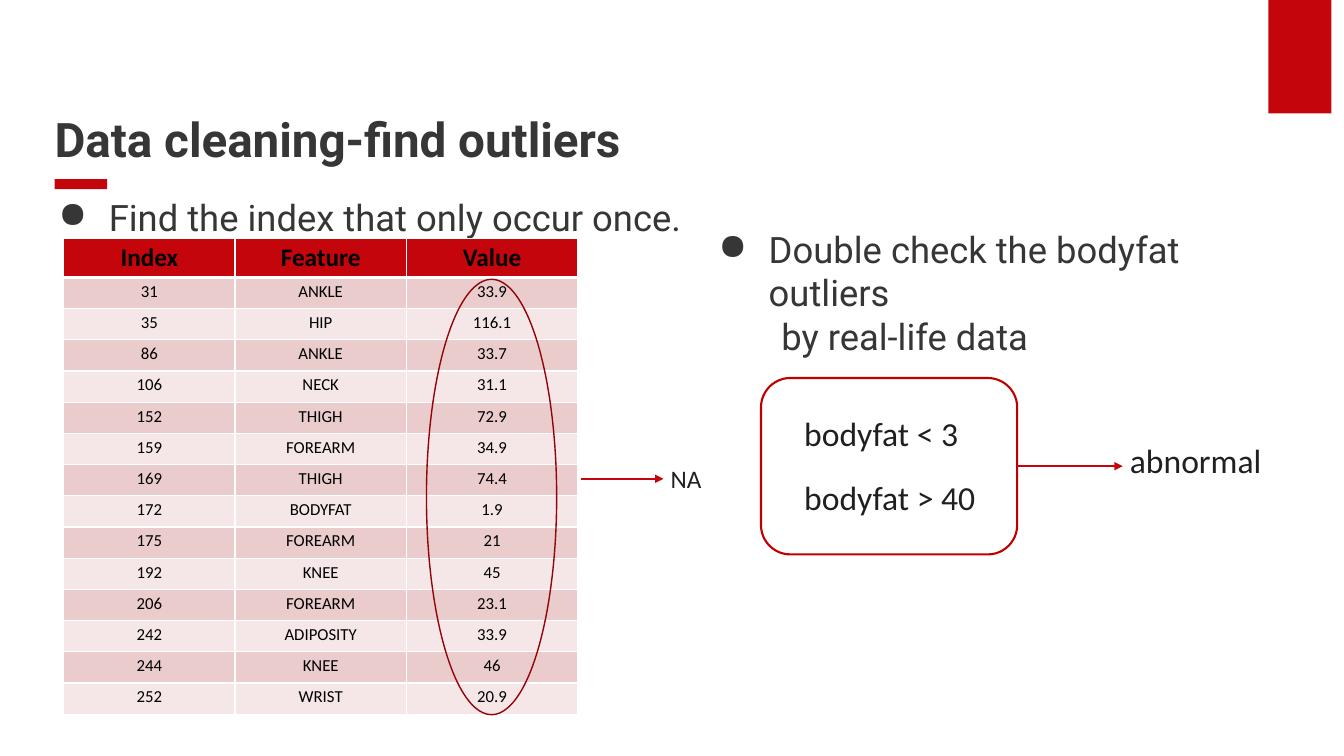
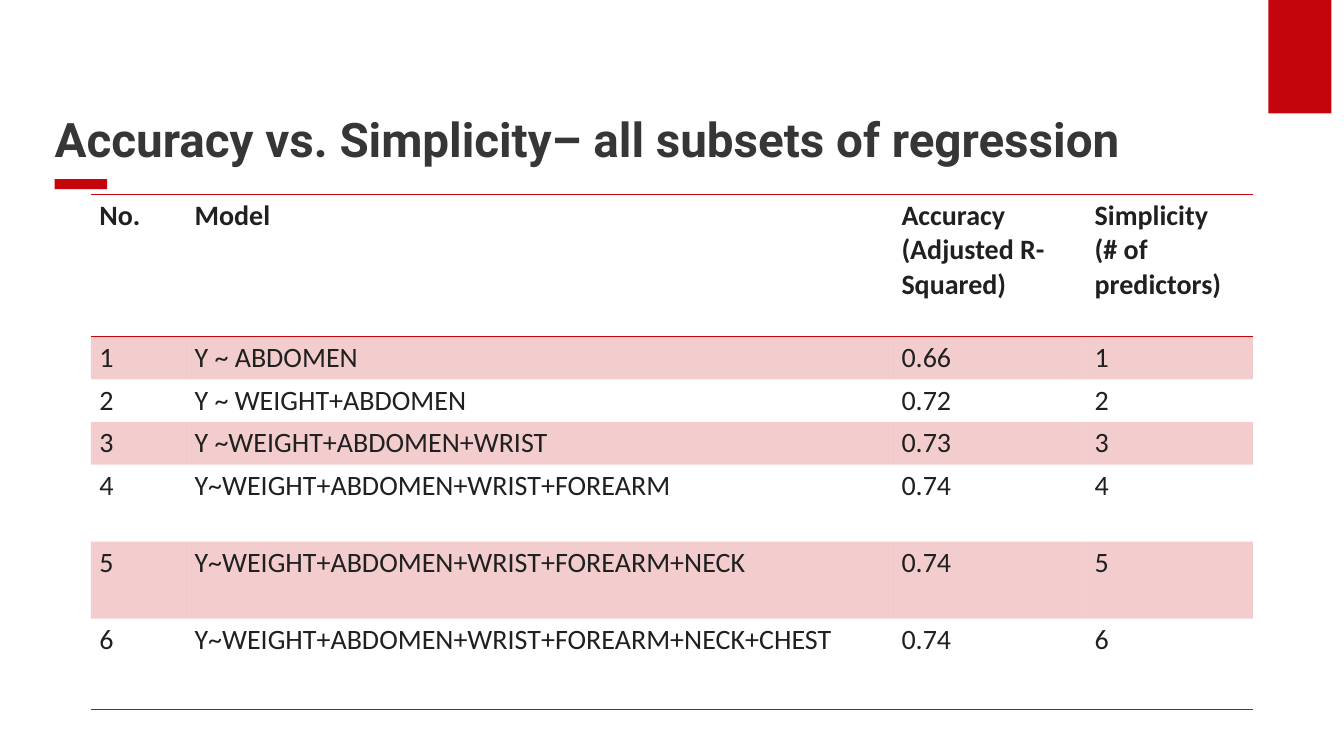
from lxml import etree
from pptx import Presentation
from pptx.dml.color import RGBColor
from pptx.enum.shapes import MSO_CONNECTOR, MSO_SHAPE
from pptx.enum.text import MSO_ANCHOR, PP_ALIGN
from pptx.oxml.ns import qn
from pptx.util import Pt

RECTANGLE = MSO_SHAPE.RECTANGLE
ROUNDED = MSO_SHAPE.ROUNDED_RECTANGLE
OVAL = MSO_SHAPE.OVAL
STRAIGHT = MSO_CONNECTOR.STRAIGHT
TOP, BOTTOM = MSO_ANCHOR.TOP, MSO_ANCHOR.BOTTOM
LEFT, CENTER = PP_ALIGN.LEFT, PP_ALIGN.CENTER
RIGHT_SIDE = 3

RED = "C5050C"
DARK_RED = "920409"
BOX_RED = "C00000"
TITLE_GREY = "363636"
BODY_GREY = "202020"
BLACK = "000000"
WHITE = "FFFFFF"
BAND_COLORS = ("EACCCC", "F5E7E7")
HEADING_FONT, BODY_FONT = "Roboto", "Calibri"
NO_TABLE_STYLE = "{2D5ABB26-0587-4C30-8999-92F81FD0307C}"

OUTLIERS = [
    ("Index", "Feature", "Value"),
    ("31", "ANKLE", "33.9"),
    ("35", "HIP", "116.1"),
    ("86", "ANKLE", "33.7"),
    ("106", "NECK", "31.1"),
    ("152", "THIGH", "72.9"),
    ("159", "FOREARM", "34.9"),
    ("169", "THIGH", "74.4"),
    ("172", "BODYFAT", "1.9"),
    ("175", "FOREARM", "21"),
    ("192", "KNEE", "45"),
    ("206", "FOREARM", "23.1"),
    ("242", "ADIPOSITY", "33.9"),
    ("244", "KNEE", "46"),
    ("252", "WRIST", "20.9"),
]
MODELS = [
    ("No.", "Model", "Accuracy\n(Adjusted R-Squared)", "Simplicity\n(# of predictors)"),
    ("1", "Y ~ ABDOMEN", "0.66", "1"),
    ("2", "Y ~ WEIGHT+ABDOMEN", "0.72", "2"),
    ("3", "Y ~WEIGHT+ABDOMEN+WRIST", "0.73", "3"),
    ("4", "Y~WEIGHT+ABDOMEN+WRIST+FOREARM", "0.74", "4"),
    ("5", "Y~WEIGHT+ABDOMEN+WRIST+FOREARM+NECK", "0.74", "5"),
    ("6", "Y~WEIGHT+ABDOMEN+WRIST+FOREARM+NECK+CHEST", "0.74", "6"),
]


def rgb(value):
    """Turn a hex string into a colour."""
    return RGBColor.from_string(value)


def write_text(frame, text, size=24, font=BODY_FONT, color=BODY_GREY, bold=False,
               align=LEFT, spacing=None):
    """Write one paragraph per line of text in a single format."""
    frame.text = text
    for paragraph in frame.paragraphs:
        paragraph.alignment = align
        paragraph.line_spacing = spacing
        for run in paragraph.runs:
            run.font.size = Pt(size)
            run.font.name = font
            run.font.bold = bold
            run.font.color.rgb = rgb(color)


def add_text(slide, text, left, top, width, height, wrap=False, anchor=TOP,
             margins=(7.2, 3.6, 7.2, 3.6), **text_format):
    """Add a text box and return its text frame."""
    frame = slide.shapes.add_textbox(Pt(left), Pt(top), Pt(width), Pt(height)).text_frame
    frame.word_wrap = wrap
    frame.vertical_anchor = anchor
    (frame.margin_left, frame.margin_top,
     frame.margin_right, frame.margin_bottom) = map(Pt, margins)
    write_text(frame, text, **text_format)
    return frame


def indent(paragraph, left, first=0, bullet=None):
    """Set a paragraph's indents and its optional bullet."""
    properties = paragraph._p.get_or_add_pPr()
    properties.set("marL", str(Pt(left)))
    properties.set("indent", str(Pt(first)))
    if bullet:
        etree.SubElement(properties, qn("a:buChar"), char=bullet)


def add_shape(slide, kind, left, top, width, height, fill=None, line=None, weight=1):
    """Add a preset shape with a flat fill or an outline."""
    shape = slide.shapes.add_shape(kind, Pt(left), Pt(top), Pt(width), Pt(height))
    shape.shadow.inherit = False
    if fill:
        shape.fill.solid()
        shape.fill.fore_color.rgb = rgb(fill)
    else:
        shape.fill.background()
    if line:
        shape.line.color.rgb = rgb(line)
        shape.line.width = Pt(weight)
    else:
        shape.line.fill.background()
    return shape


def add_arrow(slide, left, right, y, source=None):
    """Add a horizontal arrow, joined to the right side of a source shape."""
    arrow = slide.shapes.add_connector(STRAIGHT, Pt(left), Pt(y), Pt(right), Pt(y))
    if source is not None:
        arrow.begin_connect(source, RIGHT_SIDE)
    arrow.line.color.rgb = rgb(RED)
    arrow.line.width = Pt(1.5)
    etree.SubElement(arrow.line._get_or_add_ln(), qn("a:tailEnd"), type="triangle")
    etree.SubElement(arrow.element.spPr, qn("a:effectLst"))


def set_border(cell, side, color, weight=1):
    """Draw one side (L, R, T or B) of a cell."""
    line = etree.SubElement(cell._tc.get_or_add_tcPr(), qn(f"a:ln{side}"), w=str(Pt(weight)))
    fill = etree.SubElement(line, qn("a:solidFill"))
    etree.SubElement(fill, qn("a:srgbClr"), val=color)


def fill_cell(cell, color, opacity=100):
    """Fill a cell, or leave it clear when there is no color."""
    if color is None:
        cell.fill.background()
        return
    cell.fill.solid()
    cell.fill.fore_color.rgb = rgb(color)
    if opacity < 100:
        tint = cell._tc.tcPr.find(f"{qn('a:solidFill')}/{qn('a:srgbClr')}")
        etree.SubElement(tint, qn("a:alpha"), val=str(opacity * 1000))


def add_table(slide, rows, left, top, widths, heights, margins, style_cell):
    """Add a plain table and let style_cell format each cell."""
    frame = slide.shapes.add_table(len(rows), len(widths), Pt(left), Pt(top),
                                   Pt(sum(widths)), Pt(sum(heights)))
    table = frame.table
    table.first_row = table.horz_banding = False
    next(frame.element.iter(qn("a:tableStyleId"))).text = NO_TABLE_STYLE
    for column, width in zip(table.columns, widths):
        column.width = Pt(width)
    for row_index, (row, height) in enumerate(zip(rows, heights)):
        table.rows[row_index].height = Pt(height)
        for column_index, text in enumerate(row):
            cell = table.cell(row_index, column_index)
            cell.margin_left = cell.margin_right = Pt(margins[0])
            cell.margin_top = cell.margin_bottom = Pt(margins[1])
            style_cell(cell, text, row_index)


def style_outlier_cell(cell, text, row_index):
    """Format a cell of the banded outlier table."""
    header = row_index == 0
    write_text(cell.text_frame, text, size=18 if header else 12, color=BLACK,
               bold=header, align=CENTER)
    for side in "LRT":
        set_border(cell, side, WHITE, 3 if side == "T" and row_index == 1 else 1)
    set_border(cell, "B", WHITE, 3 if header else 1)
    fill_cell(cell, RED if header else BAND_COLORS[(row_index - 1) % 2])


def style_model_cell(cell, text, row_index):
    """Format a cell of the ruled model table."""
    header = row_index == 0
    write_text(cell.text_frame, text, size=20, bold=header)
    if header:
        set_border(cell, "T", RED)
    if header or row_index == len(MODELS) - 1:
        set_border(cell, "B", RED)
    fill_cell(cell, RED if row_index % 2 else None, opacity=20)


def add_slide(presentation, title):
    """Add a slide with the corner band, the title and its accent bar."""
    slide = presentation.slides.add_slide(presentation.slide_layouts[6])
    add_shape(slide, RECTANGLE, 906, 0, 45, 81, fill=RED)
    add_shape(slide, RECTANGLE, 39, 128, 37.5, 7.2, fill=RED)
    add_text(slide, title, 39, 36, 840, 84, wrap=True, anchor=BOTTOM,
             margins=(0, 3.6, 7.2, 0), size=34, font=HEADING_FONT,
             color=TITLE_GREY, bold=True, spacing=0.9)
    return slide


def add_outlier_slide(presentation):
    """Build the slide about finding outliers."""
    slide = add_slide(presentation, "Data cleaning-find outliers")
    heading = {"wrap": True, "size": 26, "font": HEADING_FONT, "color": TITLE_GREY}
    frame = add_text(slide, "Find the index that only occur once.",
                     34.6, 136, 804, 39, **heading)
    indent(frame.paragraphs[0], 36, -36, "●")
    add_table(slide, OUTLIERS, 45.5, 170.6, [122.4] * 3,
              [27.6] + [22.3] * (len(OUTLIERS) - 1), (2.8, 2.8), style_outlier_cell)
    add_shape(slide, OVAL, 304.6, 199.5, 93, 311, line=DARK_RED)
    add_arrow(slide, 415, 474, 342)
    add_text(slide, "NA", 472, 327.6, 37, 29, size=18)

    frame = add_text(slide, "Double check the bodyfat outliers\nby real-life data",
                     506, 158.4, 416, 71, **heading)
    indent(frame.paragraphs[0], 36, -36, "●")
    indent(frame.paragraphs[1], 45)
    add_text(slide, "bodyfat < 3", 567.4, 291.6, 125, 36)
    add_text(slide, "bodyfat > 40", 567.4, 337, 138, 36)
    rule_box = add_shape(slide, ROUNDED, 543.6, 270, 183, 126, line=BOX_RED, weight=1.5)
    add_arrow(slide, 726.6, 802, 333, source=rule_box)
    add_text(slide, "abnormal", 800, 311, 109, 36)


def add_model_slide(presentation):
    """Build the slide that compares the regression models."""
    slide = add_slide(presentation, "Accuracy vs. Simplicity– all subsets of regression")
    add_table(slide, MODELS, 65, 139, [68, 505, 138, 119],
              [101.5] + [30.5] * 3 + [55] * 2 + [65], (6, 3), style_model_cell)


def main():
    """Build and save the presentation."""
    presentation = Presentation()
    presentation.slide_width, presentation.slide_height = Pt(960), Pt(540)
    add_outlier_slide(presentation)
    add_model_slide(presentation)
    presentation.save("out.pptx")


if __name__ == "__main__":
    main()
